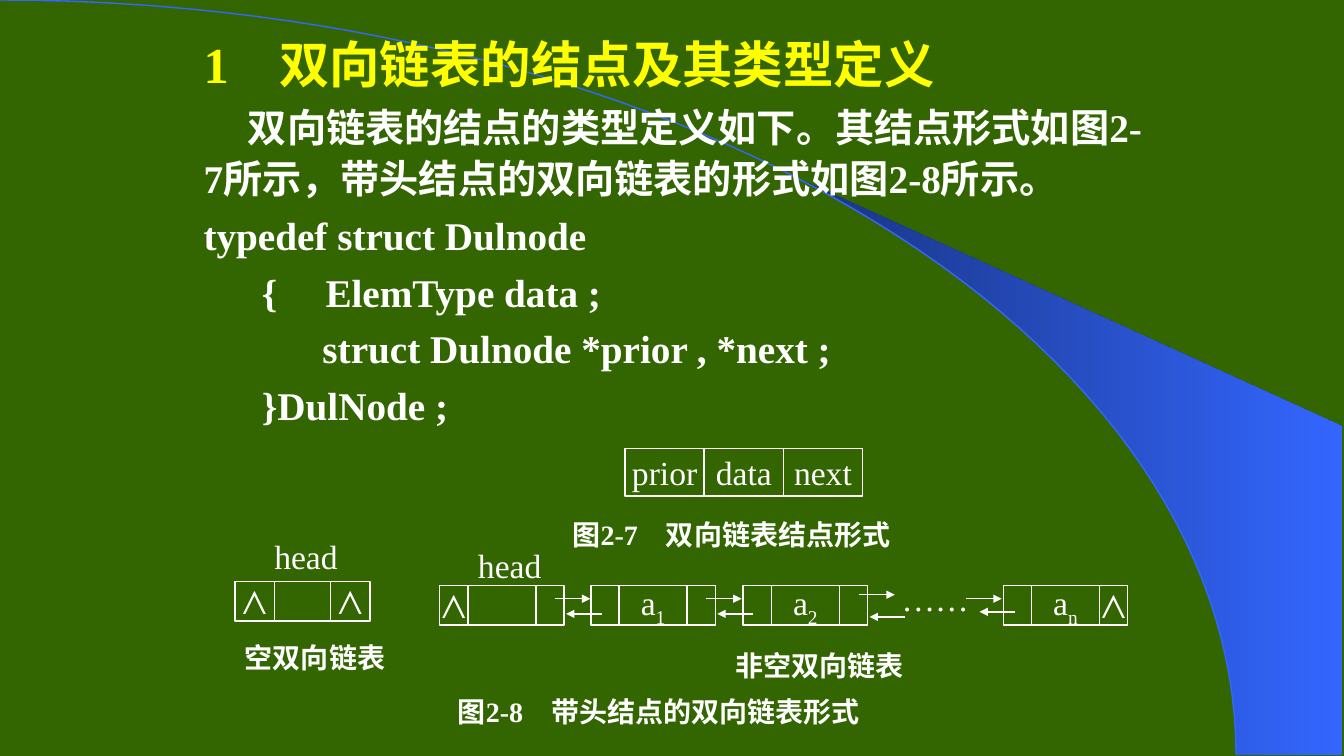
"""Slide on the node type of a doubly linked list."""
from math import asin, cos, pi, sin

from lxml import etree
from pptx import Presentation
from pptx.dml.color import RGBColor
from pptx.enum.shapes import MSO_CONNECTOR, MSO_SHAPE
from pptx.enum.text import MSO_ANCHOR, PP_ALIGN
from pptx.oxml.ns import qn
from pptx.util import Inches, Pt

RECT, STRAIGHT = MSO_SHAPE.RECTANGLE, MSO_CONNECTOR.STRAIGHT
LEFT, CENTER = PP_ALIGN.LEFT, PP_ALIGN.CENTER
TOP, MIDDLE = MSO_ANCHOR.TOP, MSO_ANCHOR.MIDDLE
LATIN, EAST = "Times New Roman", "Noto Sans CJK SC"
WHITE, YELLOW, BLUE, NAVY, GREEN = "FFFFFF", "FFFF00", "3366FF", "19337F", "336600"
COLS, ROWS = 133.3, 75
CELL_H = 3.9
LINK = 3.55


def grid(n):
    """Turn grid units of a tenth of an inch into a length."""
    return Inches(n / 10)


def rgb(color):
    """Turn a hex string into a colour."""
    return RGBColor.from_string(color)


def add_run(p, text, size, color, bold, east, baseline=None):
    """Add one formatted run."""
    r = p.add_run()
    r.text = text
    r.font.name, r.font.size, r.font.bold = LATIN, Pt(size), bold
    r.font.color.rgb = rgb(color)
    props = r._r.get_or_add_rPr()
    if east:
        etree.SubElement(props, qn("a:ea")).set("typeface", east)
    if baseline:
        props.set("baseline", str(baseline))


def write(tf, text, size=24, color=WHITE, bold=False, east=None, sub="", align=CENTER,
          line=None, before=None, margin=0, first=0):
    """Write one paragraph, using the empty first one when there is one."""
    p = tf.paragraphs[0] if not tf.paragraphs[0].runs else tf.add_paragraph()
    p.alignment = align
    props = p._p.get_or_add_pPr()
    props.set("marL", str(grid(margin)))
    props.set("indent", str(grid(first)))
    if line:
        p.line_spacing = Pt(line)
    if before:
        p.space_before = Pt(before)
    add_run(p, text, size, color, bold, east)
    if sub:
        add_run(p, sub, size, color, bold, east, -25000)


def set_frame(tf, wrap=False, anchor=MIDDLE):
    """Set wrapping, anchor and margins of a text frame."""
    tf.word_wrap, tf.vertical_anchor = wrap, anchor
    tf.margin_left = tf.margin_right = grid(1 if wrap else 0)
    tf.margin_top = tf.margin_bottom = grid(0.5 if wrap else 0)
    return tf


def add_box(s, x, y, w, h, wrap=False, anchor=MIDDLE):
    """Add an empty text box and return its frame."""
    sp = s.shapes.add_textbox(grid(x), grid(y), grid(w), grid(h))
    return set_frame(sp.text_frame, wrap, anchor)


def add_node(s, x, y, widths, texts, h=CELL_H, sub=""):
    """Add a list node as a row of adjoining cells."""
    for w, text in zip(widths, texts):
        sp = s.shapes.add_shape(RECT, grid(x), grid(y), grid(w), grid(h))
        sp.shadow.inherit = False
        sp.fill.background()
        sp.line.color.rgb, sp.line.width = rgb(WHITE), Pt(1)
        if text:
            write(set_frame(sp.text_frame), text, sub=sub if text == "a" else "")
        x += w


def add_link(s, x, y, length):
    """Add a horizontal arrow; a negative length points left."""
    c = s.shapes.add_connector(STRAIGHT, grid(x), grid(y), grid(x + length), grid(y))
    c.line.color.rgb, c.line.width = rgb(WHITE), Pt(1)
    etree.SubElement(c.line._get_or_add_ln(), qn("a:tailEnd")).set("type", "triangle")
    etree.SubElement(c._element.spPr, qn("a:effectLst"))


def arc_points(start, steps=60):
    """Return points on the quarter ellipse from column start to its foot."""
    rx, ry = 122.6, 74.9
    t0 = asin(start / rx)
    angles = [t0 + (pi / 2 - t0) * i / steps for i in range(steps + 1)]
    return [(grid(rx * sin(t)), grid(ry * (1 - cos(t)))) for t in angles]


def add_outline(s, points, close):
    """Add a freeform through the points."""
    fb = s.shapes.build_freeform(*points[0], scale=1)
    fb.add_line_segments(points[1:], close=close)
    sp = fb.convert_to_shape()
    sp.shadow.inherit = False
    return sp


def add_backdrop(s):
    """Add the green ground, the blue wedge and the arc."""
    s.background.fill.solid()
    s.background.fill.fore_color.rgb = rgb(GREEN)
    corners = [(grid(133.1), grid(74.9)), (grid(133.1), grid(42.3))]
    wedge = add_outline(s, arc_points(78.6) + corners, True)
    wedge.line.fill.background()
    wedge.fill.gradient()
    wedge.fill.gradient_angle = 0
    for stop, color in zip(wedge.fill.gradient_stops, (NAVY, BLUE)):
        stop.color.rgb = rgb(color)
    arc = add_outline(s, arc_points(0), False)
    arc.fill.background()
    arc.line.color.rgb, arc.line.width = rgb(BLUE), Pt(1)


def add_body(s):
    """Add the heading, the paragraph and the type definition."""
    tf = add_box(s, 19.2, 1.7, 95.8, 41.4, wrap=True, anchor=TOP)
    style = {"bold": True, "east": EAST, "align": LEFT}
    write(tf, "1\t双向链表的结点及其类型定义", size=36, color=YELLOW, line=51,
          margin=7.5, first=-7.5, **style)
    write(tf, "双向链表的结点的类型定义如下。其结点形式如图2-7所示，带头结点的双向链表的形式如图2-8所示。",
          size=28, line=36.4, before=4.2, first=4.4, **style)
    code = [("typedef struct Dulnode", 0, 0), ("{\tElemType data ;", 12.1, -6.3),
            ("struct Dulnode *prior , *next ;", 11.8, 0), ("}DulNode ;", 5.8, 0)]
    for text, margin, first in code:
        write(tf, text, size=28, before=7, margin=margin, first=first, **style)


def add_labels(s):
    """Add the captions and the labels of the lists."""
    captions = [("图2-7　双向链表结点形式", 55.6, 51.2, 33.9, 3.6, True),
                ("图2-8　带头结点的双向链表形式", 39.9, 68.4, 50.9, 4.3, True),
                ("空双向链表", 23.4, 63.3, 15.7, CELL_H, False),
                ("非空双向链表", 72.2, 64.1, 18.1, CELL_H, False)]
    for text, x, y, w, h, wrap in captions:
        write(add_box(s, x, y, w, h, wrap), text, size=20, bold=True, east=EAST, line=24)
    for text, x, y in [("head", 26.8, 53.2), ("head", 47, 54.1), ("……", 89.2, 57.4)]:
        write(add_box(s, x, y, 7.1, CELL_H), text)


def add_lists(s):
    """Add the node form, the empty list and the linked list."""
    add_node(s, 62, 44.5, [7.85] * 3, ["prior", "data", "next"], h=4.7)
    add_node(s, 23.3, 57.7, [3.9, 5.6, 3.9], ["⋀", "", "⋀"])
    nodes = [(43.6, ["⋀", "", ""], ""), (58.6, ["", "a", ""], "1"),
             (73.7, ["", "a", ""], "2"), (99.5, ["", "a", "⋀"], "n")]
    for x, texts, sub in nodes:
        add_node(s, x, 58.1, [2.8, 6.75, 2.8], texts, sub=sub)
    for x, y in [(55, 59.4), (70, 59.4), (85.2, 59), (95.8, 59.4)]:
        add_link(s, x, y, LINK)
    for x, y in [(59.7, 60.9), (74.7, 60.9), (89.8, 61.2), (100.7, 60.7)]:
        add_link(s, x, y, -LINK)


def main():
    """Build the slide and save it."""
    prs = Presentation()
    prs.slide_width, prs.slide_height = grid(COLS), grid(ROWS)
    s = prs.slides.add_slide(prs.slide_layouts[6])
    add_backdrop(s)
    add_body(s)
    add_lists(s)
    add_labels(s)
    prs.save("out.pptx")


if __name__ == "__main__":
    main()
